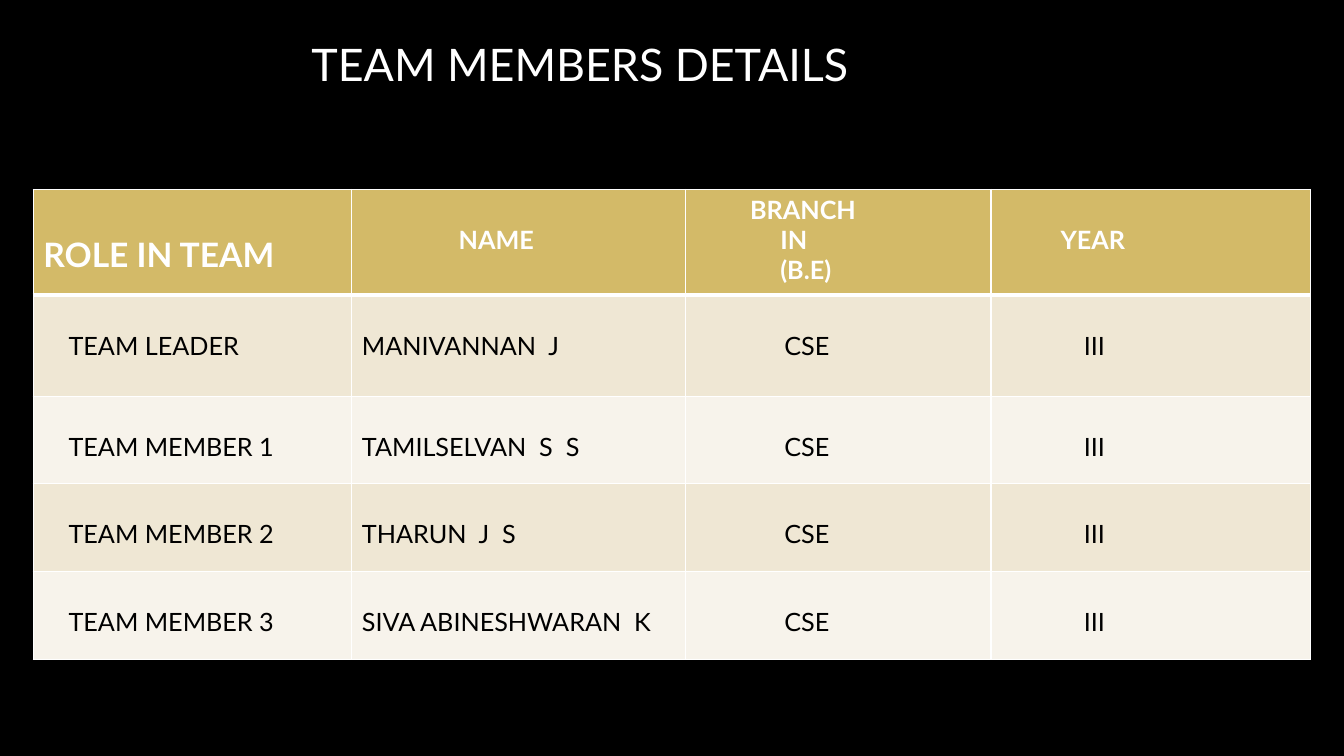
import pptx
import pptx.util
import pptx.dml.color
import lxml.etree

INCH = pptx.util.Inches
NS = "http://schemas.openxmlformats.org/drawingml/2006/main"
WHITE, BLACK, GOLD = "FFFFFF", "000000", "D3BA68"
BANDS = ["EFE7D4", "F7F3EB"]
COLS = [3.16, 3.31, 3.03, 3.17]
ROWS = [1.05, 1, 0.87, 0.87, 0.87]
HEAD = [
    ("ROLE IN TEAM", 0.1, 0.45, 24),
    ("NAME", 1.06, 0.35, 18),
    ("BRANCH\nIN\n(B.E)", 0.64, 0.05, 18),
    ("YEAR", 0.69, 0.35, 18),
]
LEFTS = [0.35, 0.1, 0.98, 0.92]
TEAM = [
    ("TEAM LEADER", "MANIVANNAN  J"),
    ("TEAM MEMBER 1", "TAMILSELVAN  S  S"),
    ("TEAM MEMBER 2", "THARUN  J  S"),
    ("TEAM MEMBER 3", "SIVA ABINESHWARAN  K"),
]


def paint(fill, tone):
    fill.solid()
    fill.fore_color.rgb = pptx.dml.color.RGBColor.from_string(tone)


def style(frame, size, tone, bold=False):
    for para in frame.paragraphs:
        for run in para.runs:
            run.font.name = "Lato"
            run.font.size = pptx.util.Pt(size)
            run.font.bold = bold
            paint(run.font.fill, tone)


def edge(cell, sides):
    props = cell._tc.get_or_add_tcPr()
    for spot, (side, width) in enumerate(sides.items()):
        line = lxml.etree.Element(f"{{{NS}}}ln{side}", w=str(pptx.util.Pt(width)))
        solid = lxml.etree.SubElement(line, f"{{{NS}}}solidFill")
        lxml.etree.SubElement(solid, f"{{{NS}}}srgbClr", val=WHITE)
        props.insert(spot, line)


def write(cell, text, left, top, size, tone, back, head):
    cell.text_frame.text = text
    cell.margin_left, cell.margin_top = INCH(left), INCH(top)
    for para in cell.text_frame.paragraphs[1:]:
        para._p.get_or_add_pPr().set("marL", str(INCH(0.3)))
    style(cell.text_frame, size, tone, head)
    paint(cell.fill, back)


def roster(slide, left, top, width, height):
    frame = slide.shapes.add_table(
        len(ROWS), len(COLS), INCH(left), INCH(top), INCH(width), INCH(height))
    grid = frame.table
    for col, share in zip(grid.columns, COLS):
        col.width = INCH(width * share / sum(COLS))
    for row, share in zip(grid.rows, ROWS):
        row.height = INCH(height * share / sum(ROWS))
    for col, (text, indent, drop, size) in enumerate(HEAD):
        write(grid.cell(0, col), text, indent, drop, size, WHITE, GOLD, True)
    for row, names in enumerate(TEAM):
        for col, text in enumerate([*names, "CSE", "III"]):
            write(grid.cell(row + 1, col), text, LEFTS[col], 0.35, 18,
                  BLACK, BANDS[row % 2], False)
    for row in range(len(ROWS)):
        for col in range(len(COLS)):
            edge(grid.cell(row, col), {
                "L": 1, "R": 1, "T": 3 if row == 1 else 1, "B": 1 if row else 3})


def title(slide, left, top, width, height):
    box = slide.shapes.add_textbox(INCH(left), INCH(top), INCH(width), INCH(height))
    box.text_frame.word_wrap = True
    box.text_frame.text = "TEAM MEMBERS DETAILS"
    style(box.text_frame, 32, WHITE)


def main():
    deck = pptx.Presentation()
    deck.slide_width, deck.slide_height = INCH(13.33), INCH(7.5)
    slide = deck.slides.add_slide(deck.slide_layouts[6])
    paint(slide.background.fill, BLACK)
    roster(slide, 0.33, 1.88, 12.67, 4.66)
    title(slide, 2.99, 0.32, 6.4, 0.64)
    deck.save("out.pptx")


if __name__ == "__main__":
    main()
